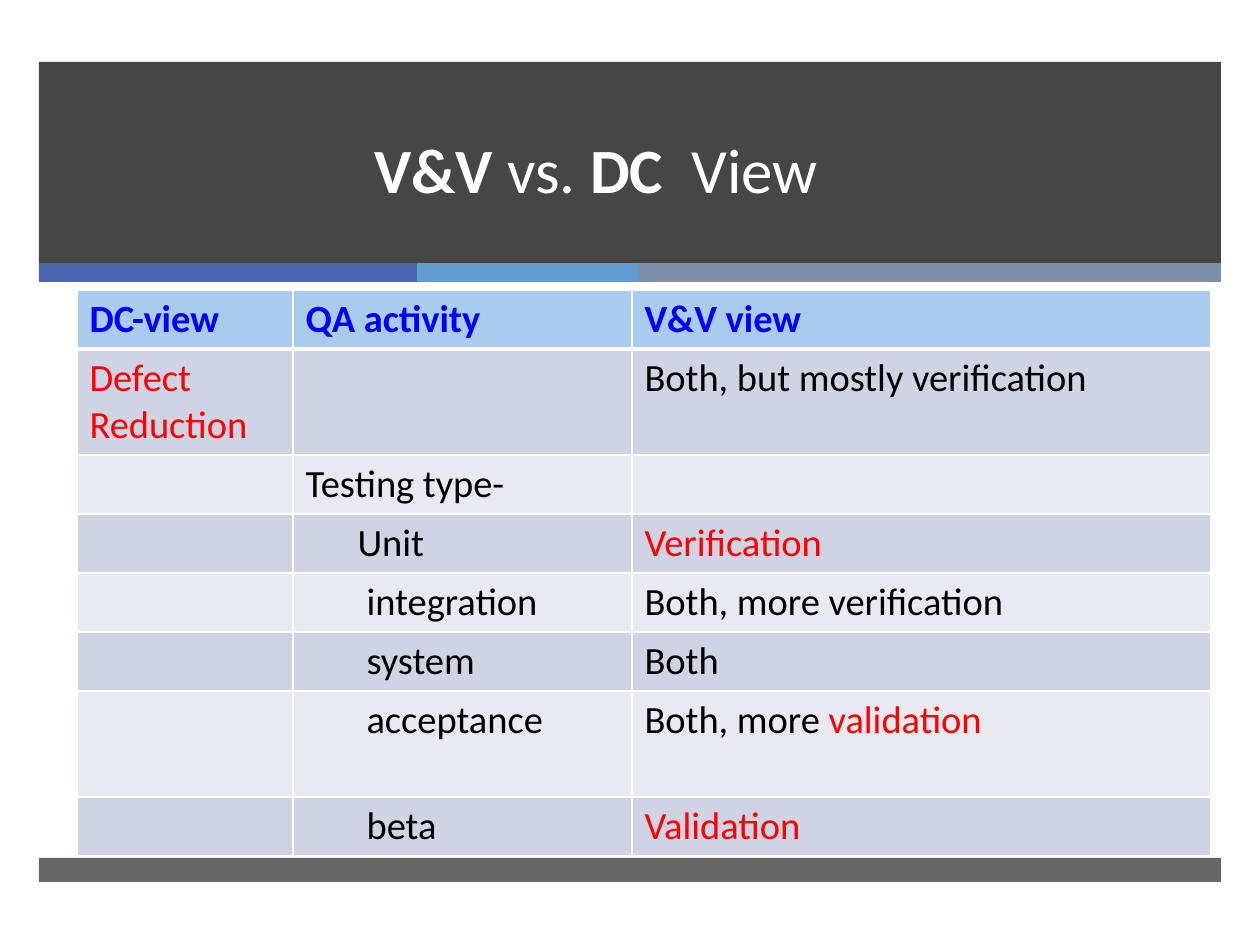
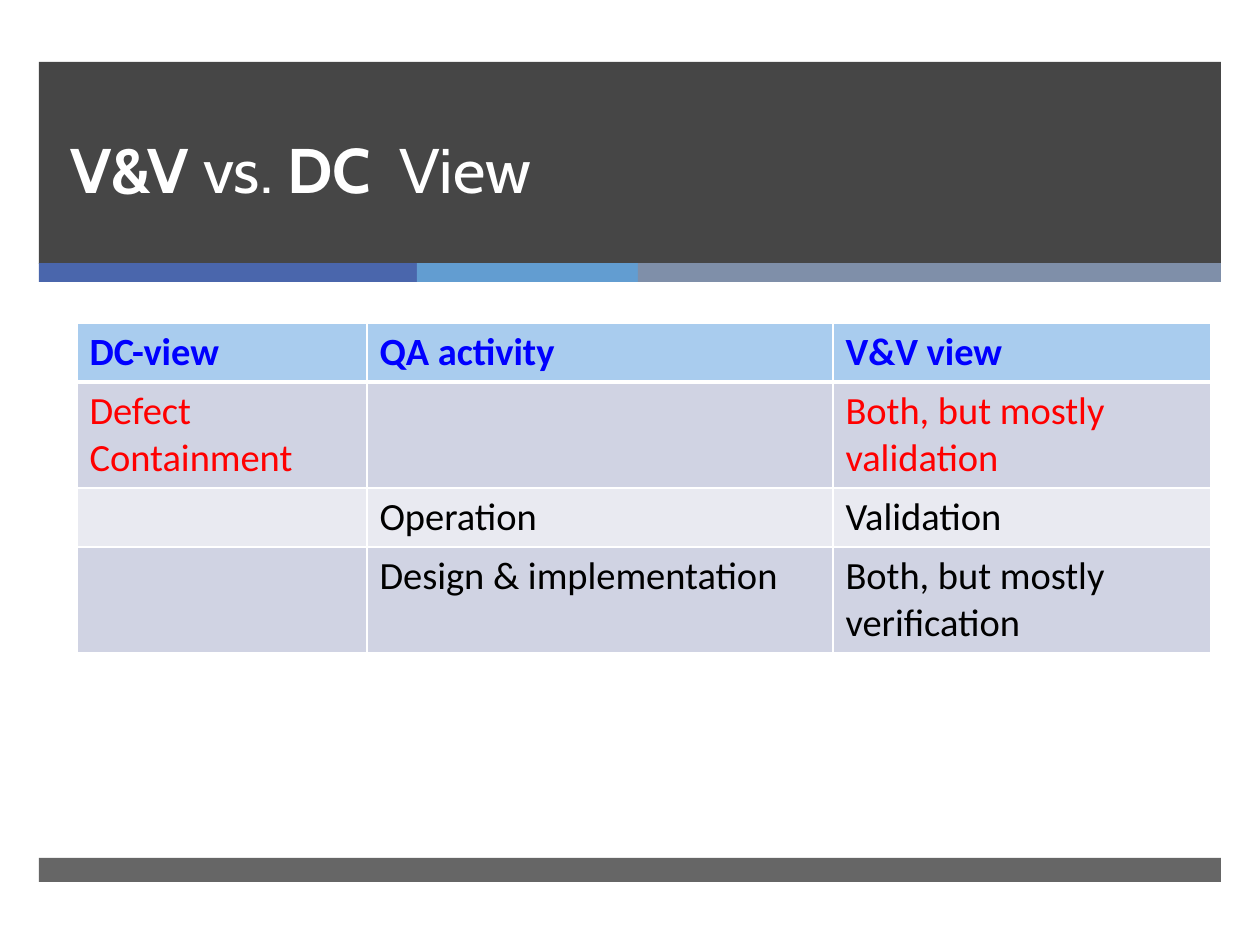
from lxml.etree import SubElement
from pptx import Presentation
from pptx.dml.color import RGBColor
from pptx.enum.shapes import MSO_SHAPE
from pptx.enum.text import MSO_ANCHOR, PP_ALIGN
from pptx.oxml.ns import qn
from pptx.util import Emu, Pt

SCALE = 914400 / 126  # EMU per pixel
COLORS = {
    "dark": "262626", "blue": "4A66AC", "sky": "629DD1", "slate": "7F8FA9",
    "header": "A9CCEE", "odd": "D0D3E3", "even": "E9EAF1",
    "white": "FFFFFF", "black": "000000", "red": "FF0000", "link": "0000FF",
}
LEFT, WIDTH = 39, 1182  # shared by all bands
ONE_LINE, TWO_LINES = 59, 106  # table row heights


def px(n):
    return Emu(round(n * SCALE))


def rgb(name):
    return RGBColor.from_string(COLORS[name])


def add_run(p, text, size=22, font="Calibri", color="black", bold=False):
    r = p.add_run()
    r.text = text
    r.font.size, r.font.name, r.font.bold = Pt(size), font, bold
    r.font.color.rgb = rgb(color)


def red(text):
    return [(text, "red")]


def indented(text, indent=61):
    return {"text": text, "indent": indent}


class Deck:
    def __init__(self):
        self.prs = Presentation()
        self.prs.slide_width, self.prs.slide_height = px(1260), px(945)
        self.s = None

    def band(self, x, y, w, h, color, alpha=None):
        sp = self.s.shapes.add_shape(MSO_SHAPE.RECTANGLE, px(x), px(y), px(w), px(h))
        sp.shadow.inherit = False
        sp.line.fill.background()
        sp.fill.solid()
        sp.fill.fore_color.rgb = rgb(color)
        if alpha:
            clr = sp.fill._xPr.find(".//" + qn("a:srgbClr"))
            SubElement(clr, qn("a:alpha"), val=str(alpha * 1000))

    def new_slide(self):
        self.s = self.prs.slides.add_slide(self.prs.slide_layouts[6])
        self.band(LEFT, 62, WIDTH, 202, "dark", alpha=85)
        x = LEFT
        for w, color in ((378, "blue"), (221, "sky"), (583, "slate")):
            self.band(x, 263, w, 19, color)
            x += w
        self.band(LEFT, 858, WIDTH, 24, "dark", alpha=70)

    def title(self, runs, font, align):
        tf = self.s.shapes.add_textbox(px(58), px(62), px(1076), px(150)).text_frame
        tf.word_wrap = True
        tf.vertical_anchor = MSO_ANCHOR.BOTTOM
        p = tf.paragraphs[0]
        p.alignment, p.line_spacing = align, Pt(46)
        for text, bold in runs:
            add_run(p, text, size=36, font=font, color="white", bold=bold)

    def cell(self, cell, content, fill, header):
        # Borders come before the fill in the cell properties
        tcPr = cell._tc.get_or_add_tcPr()
        for side in "LRTB":
            width = 3 if header and side == "B" else 1
            ln = SubElement(tcPr, qn("a:ln" + side), w=str(Pt(width)))
            SubElement(SubElement(ln, qn("a:solidFill")), qn("a:srgbClr"), val=COLORS["white"])
        cell.fill.solid()
        cell.fill.fore_color.rgb = rgb(fill)
        p = cell.text_frame.paragraphs[0]
        if isinstance(content, dict):
            p._p.get_or_add_pPr().set("marL", str(px(content["indent"])))
            content = content["text"]
        if isinstance(content, str):
            content = [(content, "link" if header else "black")] if content else []
        for text, color in content:
            add_run(p, text, color=color, bold=header)

    def table(self, y, widths, rows, tall):
        heights = [TWO_LINES if i in tall else ONE_LINE for i in range(len(rows))]
        table = self.s.shapes.add_table(len(rows), len(widths), px(77), px(y),
                                        px(sum(widths)), px(sum(heights))).table
        table.first_row = table.horz_banding = False
        for column, w in zip(table.columns, widths):
            column.width = px(w)
        for i, row in enumerate(rows):
            table.rows[i].height = px(heights[i])
            fill = "header" if i == 0 else "odd" if i % 2 else "even"
            for j, content in enumerate(row):
                self.cell(table.cell(i, j), content, fill, header=i == 0)


TITLE = [("V&V", True), (" vs. ", False), ("DC ", True), (" View", False)]
HEADER = ["DC-view", "QA activity", "V&V view"]
deck = Deck()

# Slide 1: defect reduction
deck.new_slide()
deck.title(TITLE, "Calibri", PP_ALIGN.CENTER)
deck.table(290, [216, 339, 579], [
    HEADER,
    [red("Defect  Reduction"), "", "Both, but mostly verification"],
    ["", "Testing type-", ""],
    ["", indented("Unit", 52), red("Verification")],
    ["", indented("integration"), "Both, more verification"],
    ["", indented("system"), "Both"],
    ["", indented("acceptance"), [("Both, more ", "black"), ("validation", "red")]],
    ["", indented("beta"), red("Validation")],
], tall=(1, 6))

# Slide 2: defect containment
deck.new_slide()
deck.title(TITLE, "Cabin", PP_ALIGN.LEFT)
deck.table(323, [290, 466, 378], [
    HEADER,
    [red("Defect Containment"), "", red("Both, but mostly validation")],
    ["", "Operation", "Validation"],
    ["", "Design & implementation", "Both, but mostly verification"],
], tall=(1, 3))

deck.prs.save("out.pptx")
